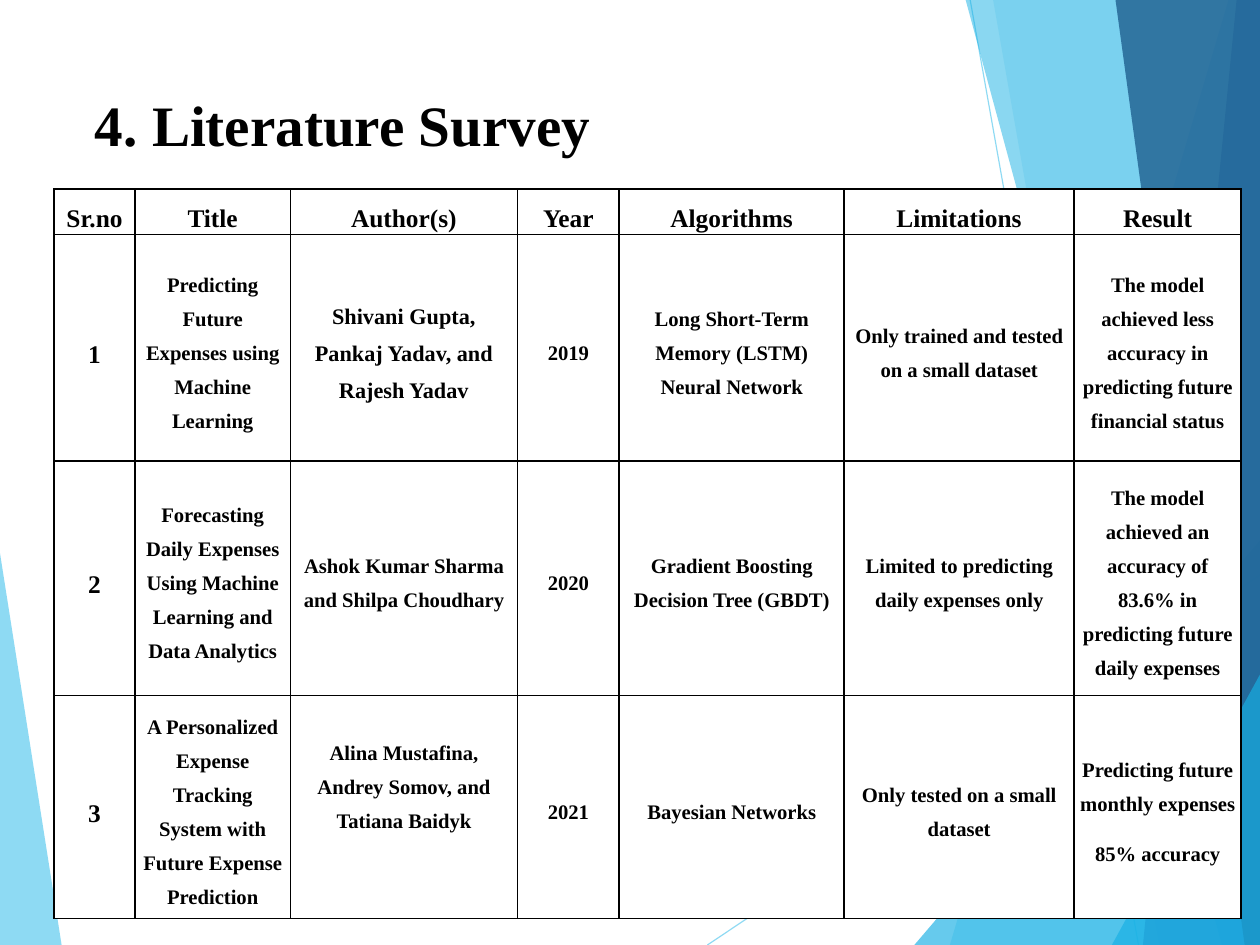
"""Builds the literature survey slide."""
from lxml import etree
from pptx import Presentation
from pptx.dml.color import RGBColor
from pptx.enum.shapes import MSO_CONNECTOR
from pptx.enum.text import MSO_ANCHOR, PP_ALIGN
from pptx.oxml.ns import qn
from pptx.util import Cm, Pt

LEFT, CENTER = PP_ALIGN.LEFT, PP_ALIGN.CENTER
MIDDLE = MSO_ANCHOR.MIDDLE
STRAIGHT = MSO_CONNECTOR.STRAIGHT

BLACK = RGBColor(0x00, 0x00, 0x00)
WHITE = RGBColor(0xFF, 0xFF, 0xFF)
SKY = RGBColor(0x5F, 0xCB, 0xEF)
CYAN = RGBColor(0x17, 0xB0, 0xE4)
BLUE = RGBColor(0x2E, 0x83, 0xC3)
NAVY = RGBColor(0x22, 0x62, 0x92)

WIDE, HIGH = 28, 21
HEAD, BODY = 16, 13
FACE = "Times New Roman"

SLANTS = [(27.3, 21.11, SKY, 36), (22.07, 25.76, SKY, 20)]
BANDS = [(21.46, 27.15, CYAN, 50), (27.48, 25.4, BLUE, 70),
         (24.79, 27.66, NAVY, 82)]

COLS = [1.8, 3.45, 5.05, 2.26, 5, 5.11, 3.71]
ROWS = [0.86, 5.03, 5.21, 4.7]
SURVEY = [
    ["Sr.no", "Title", "Author(s)", "Year", "Algorithms", "Limitations",
     "Result"],
    ["1", "Predicting Future Expenses using Machine Learning",
     "Shivani Gupta, Pankaj Yadav, and Rajesh Yadav", "2019",
     "Long Short-Term Memory (LSTM) Neural Network",
     "Only trained and tested on a small dataset",
     "The model achieved less accuracy in predicting future financial status"],
    ["2", "Forecasting Daily Expenses Using Machine Learning and Data Analytics",
     "Ashok Kumar Sharma and Shilpa Choudhary", "2020",
     "Gradient Boosting Decision Tree (GBDT)",
     "Limited to predicting daily expenses only",
     "The model achieved an accuracy of 83.6% in predicting future "
     "daily expenses"],
    ["3", "A Personalized Expense Tracking System with Future Expense Prediction",
     "Alina Mustafina, Andrey Somov, and Tatiana Baidyk", "2021",
     "Bayesian Networks", "Only tested on a small dataset",
     "Predicting future monthly expenses\n85% accuracy"],
]
SIZES = {(1, 2): 14}
LIFTS = {(3, 2): 1.11}


def write(frame, text, size=BODY, align=LEFT, space=1.0, after=0):
    frame.word_wrap = True
    frame.text = text
    for para in frame.paragraphs:
        para.alignment = align
        para.line_spacing = space
        para.space_after = Pt(after)
        font = para.runs[0].font
        font.name, font.size, font.bold = FACE, Pt(size), True
        font.color.rgb = BLACK
        end = etree.SubElement(para._p, qn("a:endParaRPr"),
                               sz=str(size * 100), b="1")
        etree.SubElement(end, qn("a:latin"), typeface=FACE)


def fade(part, alpha):
    for color in part.iter(qn("a:srgbClr")):
        etree.SubElement(color, qn("a:alpha"), val=str(alpha * 1000))


class Deck:
    def __init__(self):
        self.show = Presentation()
        self.show.slide_width, self.show.slide_height = Cm(WIDE), Cm(HIGH)
        self.slide = self.show.slides.add_slide(self.show.slide_layouts[6])
        self.shapes = self.slide.shapes

    def pane(self, points, color, alpha):
        spots = [(Cm(x), Cm(y)) for x, y in points]
        form = self.shapes.build_freeform(*spots[0])
        form.add_line_segments(spots[1:])
        shape = form.convert_to_shape()
        shape.shadow.inherit = False
        shape.fill.solid()
        shape.fill.fore_color.rgb = color
        shape.line.fill.background()
        fade(shape.element.spPr, alpha)

    def slant(self, top, base, color, alpha):
        self.pane([(top, 0), (base, HIGH), (WIDE, HIGH), (WIDE, 0)],
                  color, alpha)

    def wedge(self, base, side, rise, color, alpha):
        self.pane([(base, HIGH), (side, rise), (side, HIGH)], color, alpha)

    def line(self, *ends):
        link = self.shapes.add_connector(STRAIGHT, *map(Cm, ends))
        link.line.color.rgb = SKY
        link.line.width = Pt(0.75)
        fade(link.element.spPr, 70)
        etree.SubElement(link.element.spPr, qn("a:effectLst"))

    def title(self, text, *place):
        frame = self.shapes.add_textbox(*map(Cm, place)).text_frame
        frame.margin_top = Cm(0.13)
        write(frame, text, size=36)

    def border(self, cell):
        props = cell._tc.get_or_add_tcPr()
        for spot, side in enumerate(("lnL", "lnR", "lnT", "lnB")):
            edge = etree.Element(qn("a:" + side), w=str(Pt(1)))
            fill = etree.SubElement(edge, qn("a:solidFill"))
            etree.SubElement(fill, qn("a:srgbClr"), val=str(BLACK))
            props.insert(spot, edge)

    def cell(self, cell, text, size, lift):
        cell.margin_left = cell.margin_right = Cm(0.13)
        cell.margin_top, cell.margin_bottom = 0, Cm(lift)
        cell.vertical_anchor = MIDDLE
        cell.fill.solid()
        cell.fill.fore_color.rgb = WHITE
        write(cell.text_frame, text, size, CENTER, space=1.5, after=10)
        self.border(cell)

    def table(self, left, top):
        grid = self.shapes.add_table(
            len(ROWS), len(COLS), Cm(left), Cm(top),
            Cm(sum(COLS)), Cm(sum(ROWS))).table
        grid.first_row = grid.horz_banding = False
        for col, wide in zip(grid.columns, COLS):
            col.width = Cm(wide)
        for r, (row, high) in enumerate(zip(grid.rows, ROWS)):
            row.height = Cm(high)
            for c, text in enumerate(SURVEY[r]):
                base = HEAD if r == 0 or c == 0 else BODY
                self.cell(grid.cell(r, c), text, SIZES.get((r, c), base),
                          LIFTS.get((r, c), 0))


def main():
    deck = Deck()
    deck.wedge(1.37, 0, 12.29, SKY, 70)
    deck.line(15.72, HIGH, WIDE, 12.78)
    deck.line(21.56, 0, 25.3, HIGH)
    for slant in SLANTS:
        deck.slant(*slant)
    deck.wedge(20.32, WIDE, 12.01, CYAN, 66)
    for band in BANDS:
        deck.slant(*band)
    deck.wedge(24.71, WIDE, 14.99, CYAN, 66)
    deck.title("4. Literature Survey", 1.86, 1.85, 19.43, 2.44)
    deck.table(1.2, 4.2)
    deck.show.save("out.pptx")


if __name__ == "__main__":
    main()
